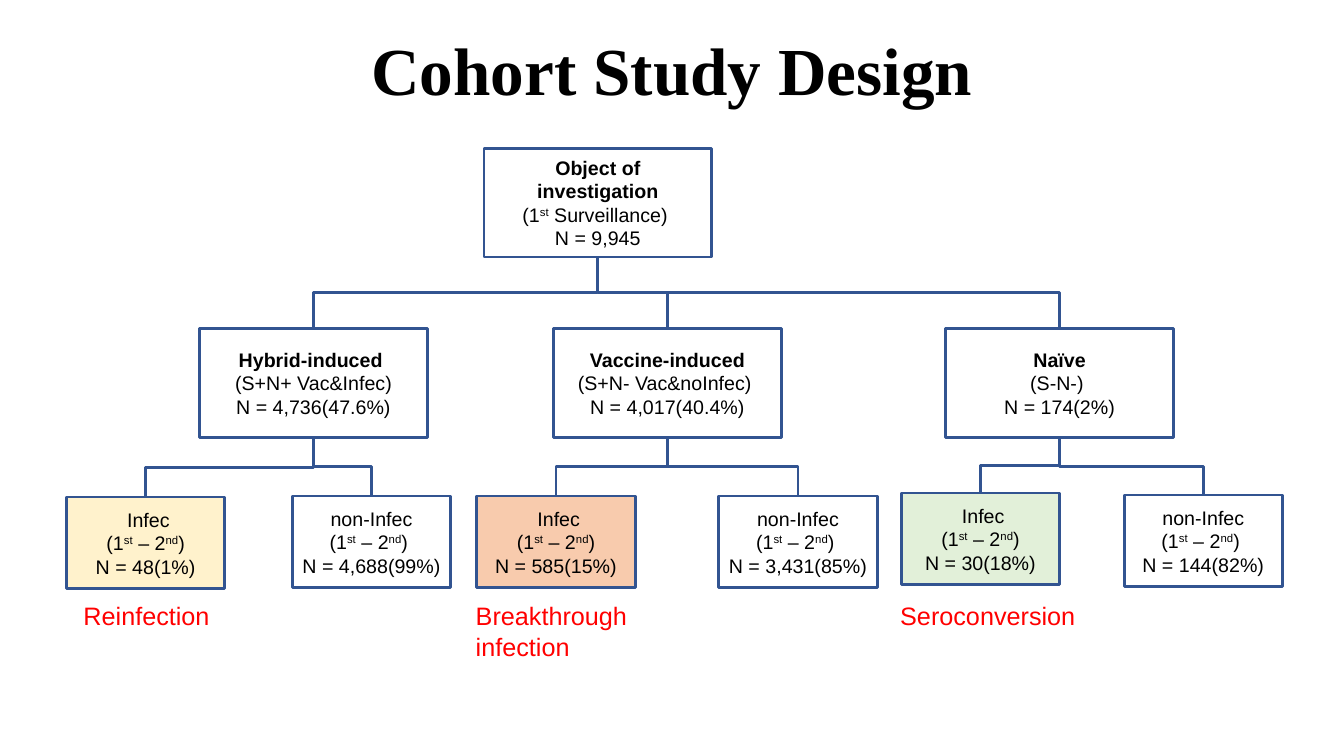
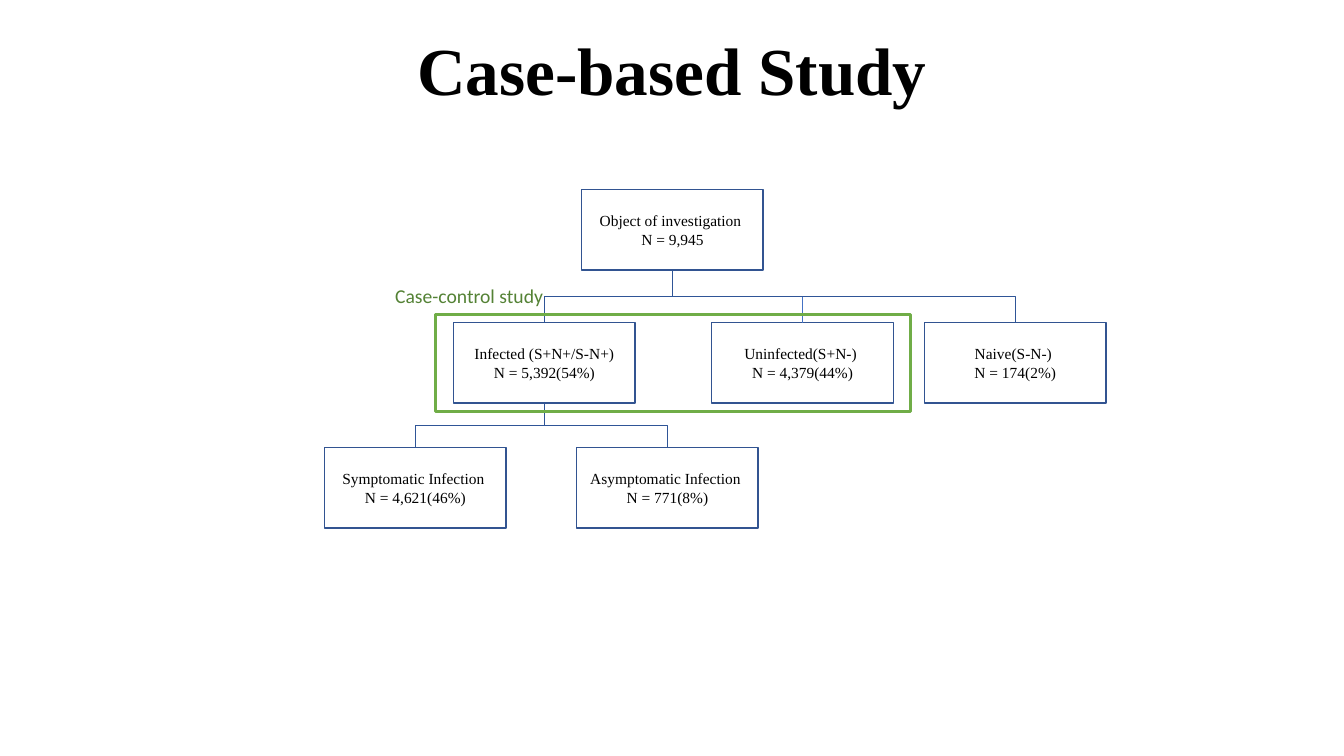
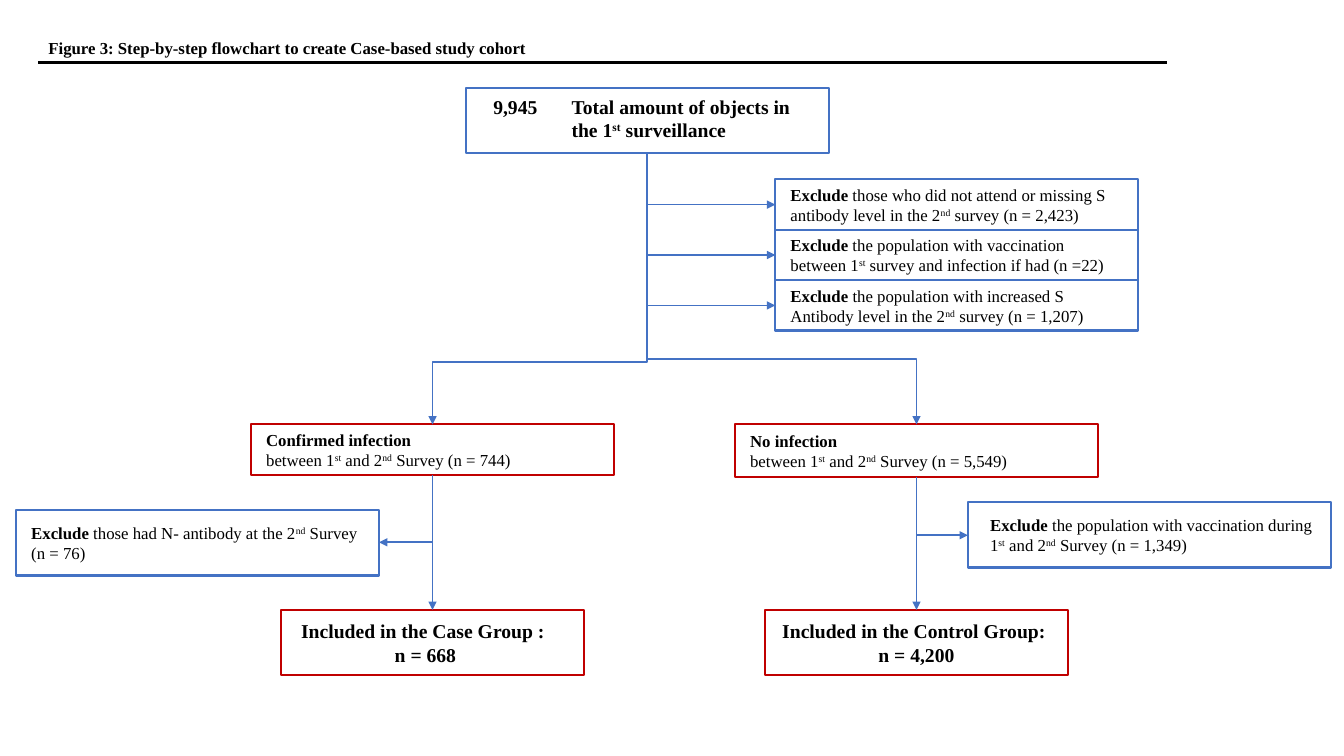
from dataclasses import dataclass

from lxml.etree import SubElement
from pptx import Presentation
from pptx.dml.color import RGBColor
from pptx.enum.shapes import MSO_CONNECTOR, MSO_SHAPE
from pptx.enum.text import MSO_ANCHOR, MSO_AUTO_SIZE, PP_ALIGN
from pptx.oxml.ns import qn
from pptx.util import Inches, Pt


@dataclass(frozen=True)
class Theme:
    black: str = "000000"
    red: str = "FF0000"
    crimson: str = "C00000"
    navy: str = "325491"
    link: str = "2F5597"
    blue: str = "4472C4"
    green: str = "70AD47"
    moss: str = "548235"
    cream: str = "FFF2CC"
    peach: str = "F8CBAD"
    mint: str = "E2F0D9"
    serif: str = "Times New Roman"
    sans: str = "Arial"
    plain: str = "Calibri"
    heading: int = 48
    outcome: int = 18
    large: int = 14
    body: int = 12
    small: int = 11


theme = Theme()


def fill_box(box, lines=(), size=theme.body, font=theme.serif, colour=theme.black,
             align=PP_ALIGN.CENTER, anchor=MSO_ANCHOR.MIDDLE, insets=(0.1, 0.1),
             border=None, border_width=1.5, fill=None, spacing=None):
    box.shadow.inherit = False
    if fill:
        box.fill.solid()
        box.fill.fore_color.rgb = RGBColor.from_string(fill)
    else:
        box.fill.background()
    if border:
        box.line.color.rgb = RGBColor.from_string(border)
        box.line.width = Pt(border_width)
    else:
        box.line.fill.background()
    frame = box.text_frame
    frame.word_wrap = True
    frame.auto_size = MSO_AUTO_SIZE.NONE
    frame.vertical_anchor = anchor
    frame.margin_left, frame.margin_right = map(Inches, insets)
    frame.margin_top = frame.margin_bottom = Inches(0.05)
    for index, line in enumerate(lines):
        para = frame.add_paragraph() if index else frame.paragraphs[0]
        para.alignment = align
        if spacing:
            para.line_spacing = spacing
        for bold, part in enumerate(line.split("*")):
            for raised, text in enumerate(part.split("^")):
                if not text:
                    continue
                span = para.add_run()
                span.text = text
                span.font.name = font
                span.font.size = Pt(size)
                span.font.bold = bold % 2 == 1
                span.font.color.rgb = RGBColor.from_string(colour)
                if raised % 2:
                    span.font._element.set("baseline", "30000")


def connect(page, x1, y1, x2, y2, colour, width, bend=None, arrow=False):
    if bend is None:
        line = page.shapes.add_connector(
            MSO_CONNECTOR.STRAIGHT, Inches(x1), Inches(y1), Inches(x2), Inches(y2))
    else:
        drop, reach = y2 - y1, abs(x2 - x1)
        left, top = (x1 + x2 - drop) / 2, (y1 + y2 - reach) / 2
        line = page.shapes.add_connector(
            MSO_CONNECTOR.ELBOW, Inches(left), Inches(top), Inches(left + drop), Inches(top + reach))
        frame = line._element.spPr.find(qn("a:xfrm"))
        frame.set("rot", "16200000" if x2 > x1 else "5400000")
        if x2 > x1:
            frame.set("flipH", "1")
        guides = line._element.spPr.find(qn("a:prstGeom")).get_or_add_avLst()
        SubElement(guides, qn("a:gd"), name="adj1", fmla=f"val {round(bend * 100000)}")
    line.line.color.rgb = RGBColor.from_string(colour)
    line.line.width = Pt(width)
    if arrow:
        SubElement(line.line._get_or_add_ln(), qn("a:tailEnd"), type="triangle")
    SubElement(line._element.spPr, qn("a:effectLst"))


deck = Presentation()
deck.slide_width, deck.slide_height = Inches(13.33), Inches(7.5)
centred_title = dict(size=theme.heading, spacing=0.9)
figure_title = dict(size=theme.body, align=PP_ALIGN.LEFT, anchor=MSO_ANCHOR.TOP)
pages = []
for heading, area, style in (
    ("Cohort Study Design", (2.47, 0.3, 8.39, 0.87), centred_title),
    ("Case-based Study", (2.47, 0.3, 8.39, 0.87), centred_title),
    ("Figure 3: Step-by-step flowchart to create Case-based study cohort",
     (0.38, 0.32, 9.8, 0.3), figure_title),
):
    page = deck.slides.add_slide(deck.slide_layouts[5])
    title = page.shapes.title
    title.left, title.top, title.width, title.height = map(Inches, area)
    fill_box(title, [f"*{heading}*"], **style)
    pages.append(page)
cohort, cases, flow = pages

group_width, group_height, leaf_width, leaf_height = 2.26, 1.08, 1.57, 0.91
root_left, root_top, group_top = 4.8, 1.47, 3.26
root_middle = root_left + group_width / 2
cohort_style = dict(size=theme.large, font=theme.sans, border=theme.navy, border_width=2)
root = cohort.shapes.add_shape(MSO_SHAPE.RECTANGLE, Inches(root_left), Inches(root_top),
                               Inches(group_width), Inches(group_height))
fill_box(root, ["*Object of investigation*", "(1^st^ Surveillance) ", "N = 9,945"], **cohort_style)

groups = (
    (1.98, ("*Hybrid-induced *", "(S+N+ Vac&Infec)", "N = 4,736(47.6%)"),
     ((0.66, 4.93, "N = 48(1%)", theme.cream), (2.9, 4.92, "N = 4,688(99%)", None))),
    (5.49, ("*Vaccine-induced*", "(S+N- Vac&noInfec) ", "N = 4,017(40.4%)"),
     ((4.73, 4.92, "N = 585(15%)", theme.peach), (7.13, 4.92, "N = 3,431(85%)", None))),
    (9.38, ("*Naïve*", "(S-N-) ", "N = 174(2%)"),
     ((8.94, 4.89, "N = 30(18%)", theme.mint), (11.15, 4.91, "N = 144(82%)", None))),
)
for left, lines, leaves in groups:
    group = cohort.shapes.add_shape(MSO_SHAPE.RECTANGLE, Inches(left), Inches(group_top),
                                    Inches(group_width), Inches(group_height))
    fill_box(group, lines, **cohort_style)
    middle = left + group_width / 2
    connect(cohort, root_middle, root_top + group_height, middle, group_top, theme.navy, 2, 0.5)
    for leaf_left, leaf_top, count, tint in leaves:
        leaf = cohort.shapes.add_shape(MSO_SHAPE.RECTANGLE, Inches(leaf_left), Inches(leaf_top),
                                       Inches(leaf_width), Inches(leaf_height))
        labels = (" Infec", "(1^st^ – 2^nd^)") if tint else ("non-Infec", "(1^st^ – 2^nd^) ")
        fill_box(leaf, (*labels, count), fill=tint, **cohort_style)
        connect(cohort, middle, group_top + group_height, leaf_left + leaf_width / 2, leaf_top,
                theme.navy, 2, 0.5)

for left, width, height, outcome in (
    (0.73, 1.74, 0.4, "Reinfection"),
    (4.62, 2.25, 0.71, "Breakthrough infection"),
    (8.83, 2.25, 0.4, "Seroconversion"),
):
    label = cohort.shapes.add_textbox(Inches(left), Inches(5.91), Inches(width), Inches(height))
    fill_box(label, [outcome], theme.outcome, theme.sans, theme.red, PP_ALIGN.LEFT, MSO_ANCHOR.TOP)

case_width, case_height = 1.8, 0.8
object_left, object_top, status_top, symptom_top = 5.77, 1.88, 3.2, 4.44
infected_left = 4.5
for left, top, name, count, parent, colour in (
    (object_left, object_top, "Object of investigation ", "N = 9,945", None, None),
    (infected_left, status_top, "Infected (S+N+/S-N+)", "N = 5,392(54%)",
     (object_left, object_top), theme.link),
    (7.06, status_top, "Uninfected(S+N-) ", "N = 4,379(44%)", (object_left, object_top), theme.blue),
    (9.17, status_top, "Naive(S-N-) ", "N = 174(2%)", (object_left, object_top), theme.link),
    (3.22, symptom_top, "Symptomatic Infection ", "N = 4,621(46%)",
     (infected_left, status_top), theme.link),
    (5.72, symptom_top, "Asymptomatic Infection ", "N = 771(8%)",
     (infected_left, status_top), theme.link),
):
    box = cases.shapes.add_shape(MSO_SHAPE.RECTANGLE, Inches(left), Inches(top),
                                 Inches(case_width), Inches(case_height))
    fill_box(box, (name, count), theme.small, border=theme.navy, border_width=1)
    if parent:
        connect(cases, parent[0] + case_width / 2, parent[1] + case_height,
                left + case_width / 2, top, colour, 1, 0.5)

study_frame = cases.shapes.add_shape(MSO_SHAPE.RECTANGLE, Inches(4.32), Inches(3.12),
                                     Inches(4.71), Inches(0.96))
fill_box(study_frame, border=theme.green, border_width=2)
study_label = cases.shapes.add_textbox(Inches(3.82), Inches(2.77), Inches(1.75), Inches(0.34))
fill_box(study_label, ["Case-control study"], theme.large, theme.plain, theme.moss,
         PP_ALIGN.LEFT, MSO_ANCHOR.TOP)

connect(flow, 0.38, 0.62, 11.57, 0.62, theme.black, 1.5)
total = flow.shapes.add_shape(MSO_SHAPE.RECTANGLE, Inches(4.62), Inches(0.87),
                              Inches(3.6), Inches(0.65))
fill_box(total, border=theme.blue)
for left, width, height, lines, align in (
    (4.76, 0.67, 0.34, ["*9,945*"], PP_ALIGN.RIGHT),
    (5.57, 2.48, 0.57, ["*Total amount of objects in*", "*the 1^st^ surveillance*"], PP_ALIGN.LEFT),
):
    label = flow.shapes.add_textbox(Inches(left), Inches(0.89), Inches(width), Inches(height))
    fill_box(label, lines, theme.large, align=align, anchor=MSO_ANCHOR.TOP)

note = dict(align=PP_ALIGN.LEFT, insets=(0.15, 0.15), border=theme.blue)
wide_note = dict(note, insets=(0.22, 0.08))
finding = dict(note, border=theme.crimson)
result = dict(size=theme.large, border=theme.crimson)
case_result = dict(result, insets=(0.03, 0.17))
for left, top, width, height, lines, style in (
    (7.69, 1.78, 3.6, 0.5, [
        "*Exclude* those who did not attend or missing S antibody level in the 2^nd^ survey (n = 2,423)"],
     note),
    (7.69, 2.28, 3.6, 0.5, [
        "*Exclude* the population with vaccination between 1^st^ survey and infection if had (n =22)"],
     note),
    (7.69, 2.78, 3.6, 0.5, [
        "*Exclude *the population with increased S Antibody level in the 2^nd^ survey (n = 1,207)"],
     note),
    (2.49, 4.21, 3.6, 0.5, [
        "*Confirmed infection*", "between 1^st^ and 2^nd^ Survey (n = 744)"], finding),
    (7.29, 4.21, 3.6, 0.52, [
        "*No infection*", "between 1^st^ and 2^nd^ Survey (n = 5,549)"], finding),
    (0.16, 5.06, 3.6, 0.65, [
        "*Exclude* those had N- antibody at the 2^nd^ Survey (n = 76)"], note),
    (9.6, 4.98, 3.6, 0.65, [
        "*Exclude* the population with vaccination during 1^st^ and 2^nd^ Survey (n = 1,349)"], wide_note),
    (2.79, 6.05, 3, 0.65, ["*Included in the Case Group : *", "*n = 668*"], case_result),
    (7.59, 6.05, 3, 0.65, ["*Included in the Control Group: *", "*n = 4,200*"], result),
):
    box = flow.shapes.add_shape(MSO_SHAPE.RECTANGLE, Inches(left), Inches(top),
                                Inches(width), Inches(height))
    fill_box(box, lines, **style)

trunk, case_axis, control_axis = 6.42, 4.29, 9.09
for x1, y1, x2, y2, bend in (
    (trunk, 1.52, case_axis, 4.21, 0.77),
    (trunk, 1.52, control_axis, 4.21, 0.76),
    (trunk, 2.03, 7.69, 2.03, None),
    (trunk, 2.53, 7.69, 2.53, None),
    (trunk, 3.03, 7.69, 3.03, None),
    (case_axis, 4.71, case_axis, 6.05, None),
    (control_axis, 4.73, control_axis, 6.05, None),
    (case_axis, 5.38, 3.76, 5.38, None),
    (control_axis, 5.31, 9.6, 5.31, None),
):
    connect(flow, x1, y1, x2, y2, theme.blue, 1.25, bend, arrow=True)

deck.save("out.pptx")
